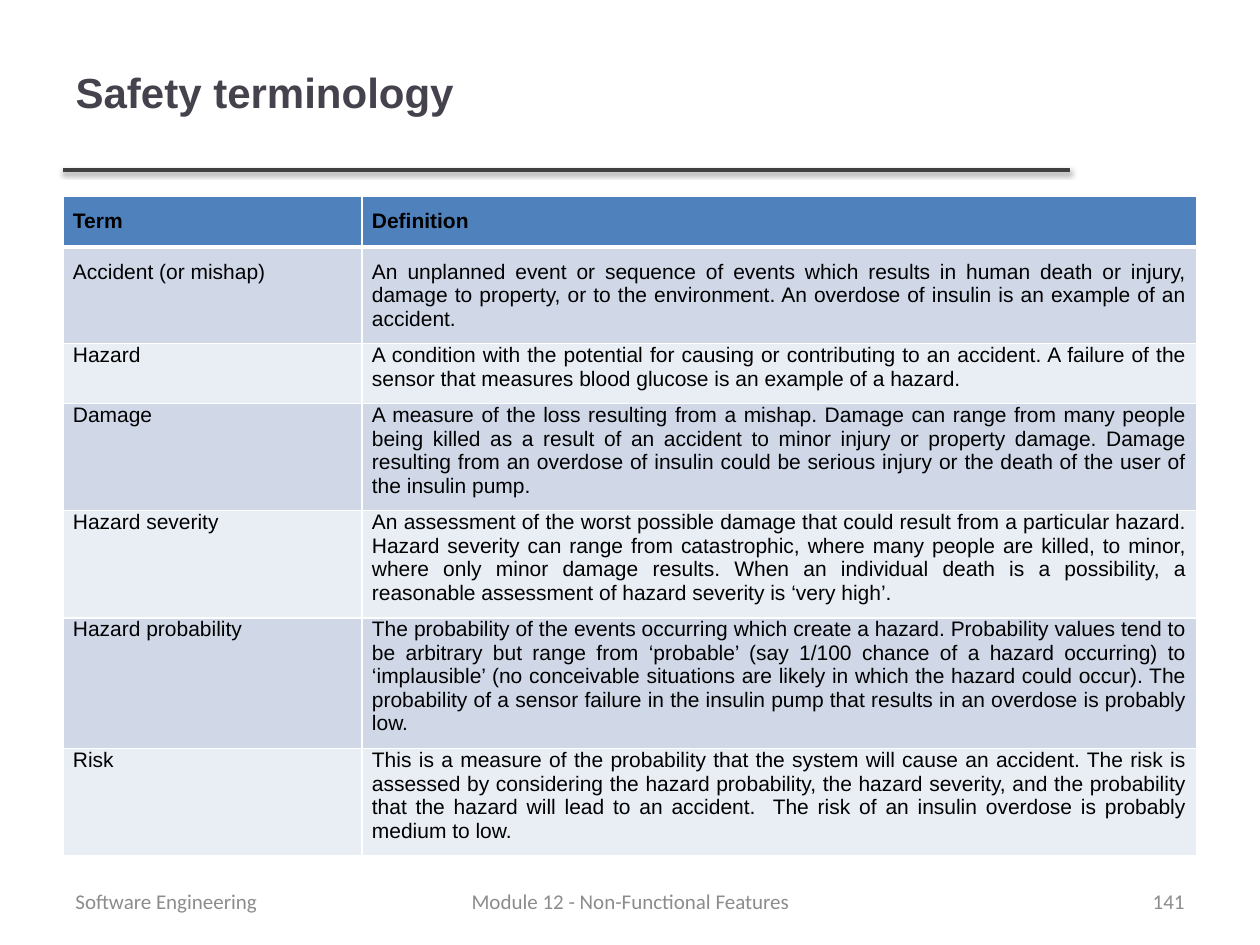
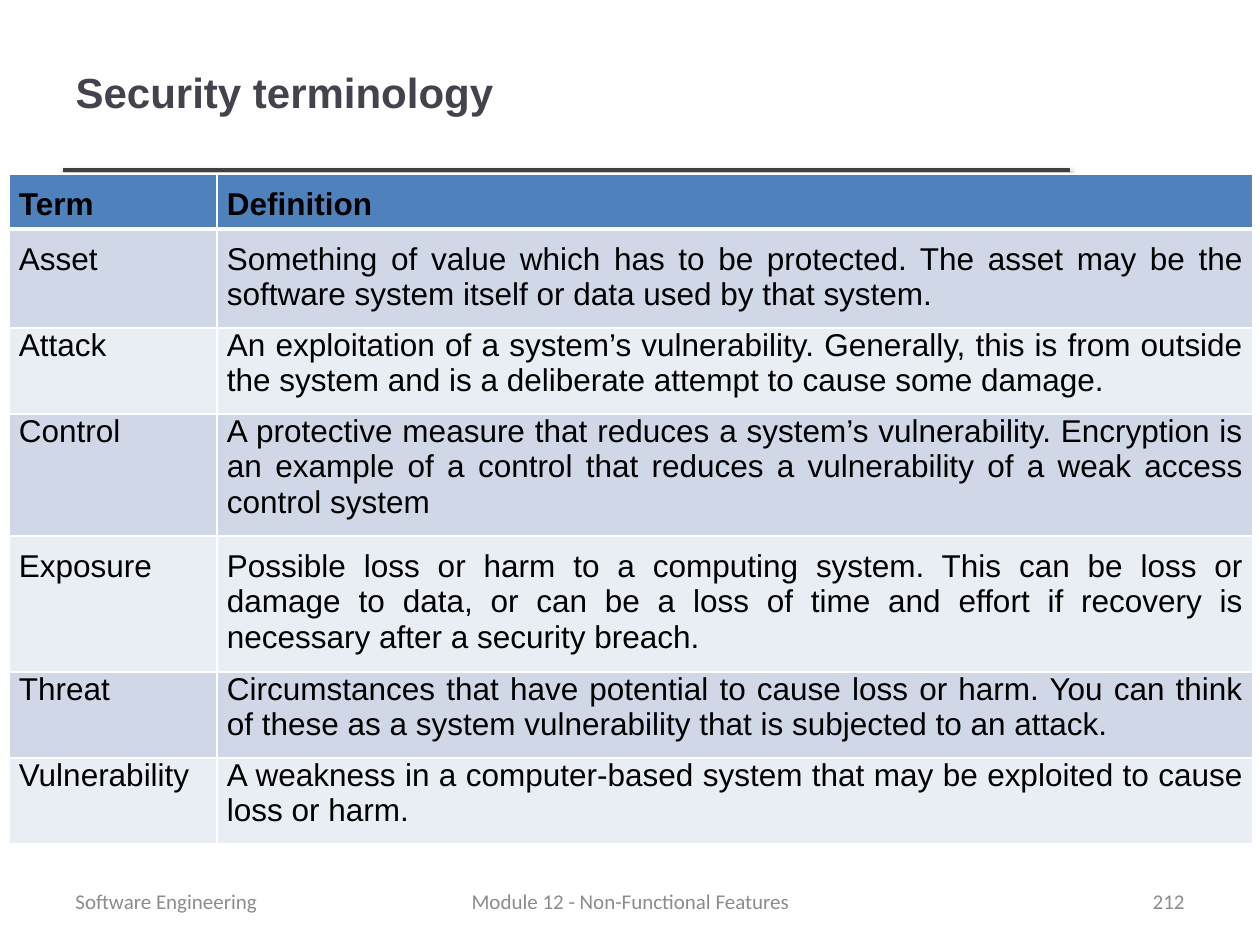
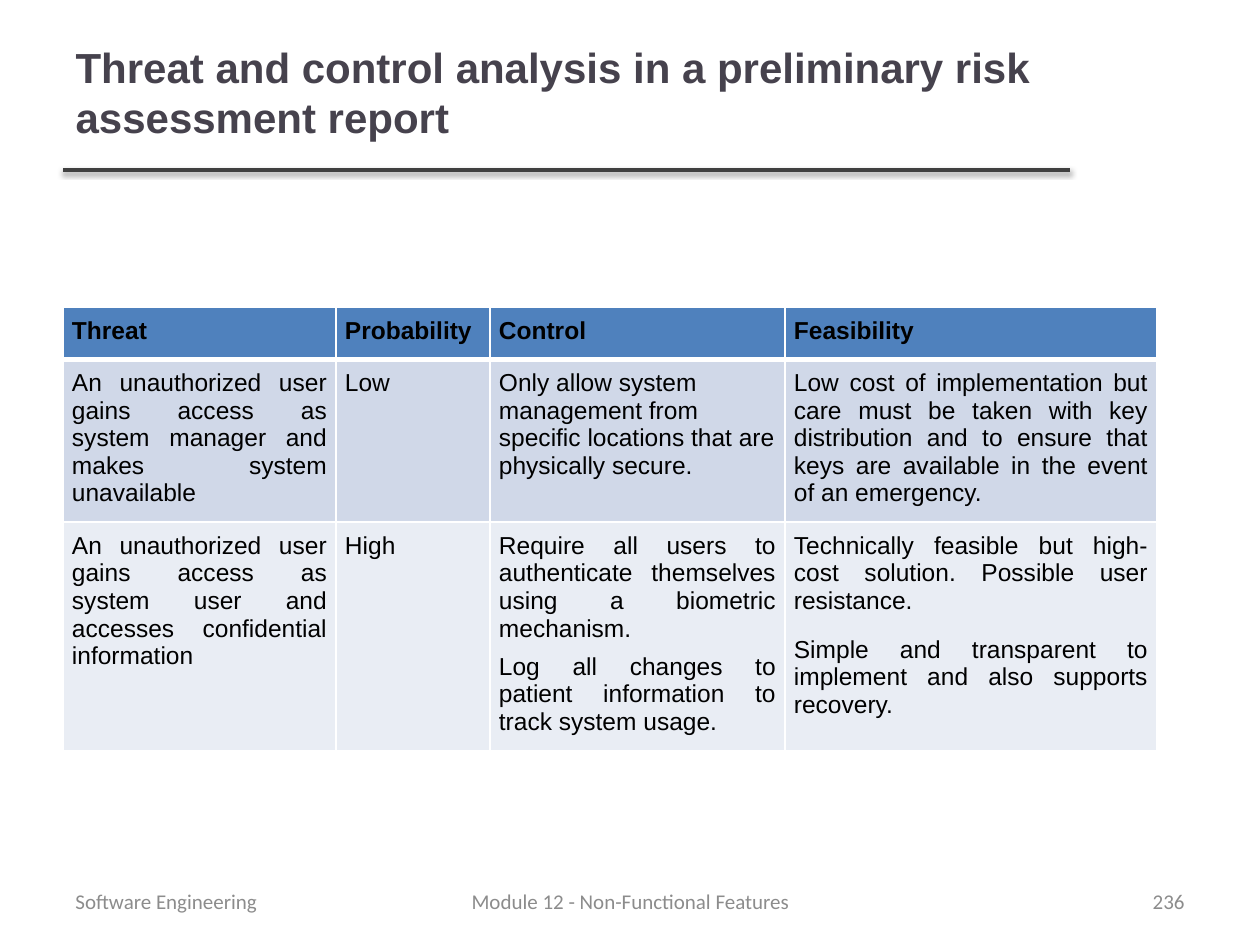
import pptx
import pptx.util
import pptx.dml.color
import pptx.enum.shapes
import pptx.enum.text
import pptx.oxml
import pptx.oxml.ns

SCALE = 914400 / 126
COLORS = {
    "title": "46424D", "rule": "404040", "footer": "8C8C8C", "text": "000000",
    "header": "4F81BD", "odd": "D0D8E8", "even": "E9EDF4", "border": "FFFFFF",
}
ALIGN = pptx.enum.text.PP_ALIGN
MIDDLE = pptx.enum.text.MSO_ANCHOR.MIDDLE
NAMESPACE = pptx.oxml.ns.nsdecls("a")


def px(length):
    return pptx.util.Emu(round(length * SCALE))


def write(para, text, color, align, **font):
    span = para.add_run()
    span.text = text
    para.alignment = align
    for name, value in font.items():
        setattr(span.font, name, value)
    span.font.color.rgb = pptx.dml.color.RGBColor.from_string(COLORS[color])


PAGES = [
    {
        "title": "Safety terminology", "number": "141",
        "left": 63, "top": 196, "size": 12,
        "columns": [299, 835], "heights": [51, 95, 60, 106, 107, 130, 106],
        "side": 10, "above": 13, "below": 13, "header_below": 0,
        "padded_rows": {0, 1}, "left_cells": {(1, 0)},
        "rows": [
            ["Term", "Definition"],
            ["Accident (or mishap)", "An unplanned event or sequence of events which results in human death or injury, damage to property, or to the environment. An overdose of insulin is an example of an accident."],
            ["Hazard", "A condition with the potential for causing or contributing to an accident. A failure of the sensor that measures blood glucose is an example of a hazard."],
            ["Damage", "A measure of the loss resulting from a mishap. Damage can range from many people being killed as a result of an accident to minor injury or property damage. Damage resulting from an overdose of insulin could be serious injury or the death of the user of the insulin pump."],
            ["Hazard severity", "An assessment of the worst possible damage that could result from a particular hazard. Hazard severity can range from catastrophic, where many people are killed, to minor, where only minor damage results. When an individual death is a possibility, a reasonable assessment of hazard severity is ‘very high’."],
            ["Hazard probability", "The probability of the events occurring which create a hazard. Probability values tend to be arbitrary but range from ‘probable’ (say 1/100 chance of a hazard occurring) to ‘implausible’ (no conceivable situations are likely in which the hazard could occur). The probability of a sensor failure in the insulin pump that results in an overdose is probably low."],
            ["Risk", "This is a measure of the probability that the system will cause an accident. The risk is assessed by considering the hazard probability, the hazard severity, and the probability that the hazard will lead to an accident.  The risk of an insulin overdose is probably medium to low."],
        ],
    },
    {
        "title": "Security terminology", "number": "212",
        "left": 9, "top": 174, "size": 18,
        "columns": [208, 1036], "heights": [55, 99, 86, 122, 136, 86, 86],
        "side": 10, "above": 13, "below": 13, "header_below": 0,
        "padded_rows": {0, 1, 4}, "left_cells": set(),
        "rows": [
            ["Term", "Definition"],
            ["Asset", "Something of value which has to be protected. The asset may be the software system itself or data used by that system."],
            ["Attack", "An exploitation of a system’s vulnerability. Generally, this is from outside the system and is a deliberate attempt to cause some damage."],
            ["Control", "A protective measure that reduces a system’s vulnerability. Encryption is an example of a control that reduces a vulnerability of a weak access control system"],
            ["Exposure", "Possible loss or harm to a computing system. This can be loss or damage to data, or can be a loss of time and effort if recovery is necessary after a security breach."],
            ["Threat", "Circumstances that have potential to cause loss or harm. You can think of these as a system vulnerability that is subjected to an attack."],
            ["Vulnerability", "A weakness in a computer-based system that may be exploited to cause loss or harm."],
        ],
    },
    {
        "title": "Threat and control analysis in a preliminary risk assessment report", "number": "236",
        "left": 63, "top": 307, "size": 14,
        "columns": [273, 154, 295, 372], "heights": [51, 162, 228],
        "side": 9, "above": 10, "below": 15, "header_below": 15,
        "padded_rows": {0, 1, 2}, "left_cells": {(1, 2)},
        "gaps": {(2, 2): 6, (2, 3): 12},
        "rows": [
            ["Threat", "Probability", "Control", "Feasibility"],
            [
                "An unauthorized user gains access as system manager and makes system unavailable",
                "Low",
                "Only allow system management from specific locations that are physically secure.",
                "Low cost of implementation but care must be taken with key distribution and to ensure that keys are available in the event of an emergency.",
            ],
            [
                "An unauthorized user gains access as system user and accesses confidential information",
                "High",
                "Require all users to authenticate themselves using a biometric mechanism.\nLog all changes to patient information to track system usage.",
                "Technically feasible but high-cost solution. Possible user resistance.\nSimple and transparent to implement and also supports recovery.",
            ],
        ],
    },
]

FOOTERS = [
    (903, 294, ALIGN.RIGHT, None),
    (431, 399, ALIGN.CENTER, "Module 12 - Non-Functional Features"),
    (63, 294, ALIGN.LEFT, "Software Engineering"),
]

deck = pptx.Presentation()
deck.slide_width, deck.slide_height = px(1260), px(945)
layout = deck.slide_layouts[5]

for index, content in enumerate(PAGES):
    page = deck.slides.add_slide(layout)

    if index == 0:
        rule = page.shapes.add_connector(
            pptx.enum.shapes.MSO_CONNECTOR.STRAIGHT, px(63), px(170), px(1070), px(170))
        rule.line.width = pptx.util.Pt(2)
        rule.line.color.rgb = pptx.dml.color.RGBColor.from_string(COLORS["rule"])
        rule.element.spPr.append(pptx.oxml.parse_xml(
            f'<a:effectLst {NAMESPACE}><a:outerShdw blurRad="39400" dist="20300" dir="5400000" '
            'rotWithShape="0"><a:srgbClr val="000000"><a:alpha val="38000"/></a:srgbClr>'
            '</a:outerShdw></a:effectLst>'))
        layout.shapes.element.append(rule.element)

    title = page.shapes.title
    title.left, title.top, title.width, title.height = px(63), px(13), px(1006), px(157)
    title.text_frame.vertical_anchor = MIDDLE
    write(title.text_frame.paragraphs[0], content["title"], "title", ALIGN.LEFT,
          name="Arial", size=pptx.util.Pt(24), bold=True)

    columns, heights, rows = content["columns"], content["heights"], content["rows"]
    table = page.shapes.add_table(
        len(rows), len(columns), px(content["left"]), px(content["top"]),
        px(sum(columns)), px(sum(heights))).table
    for column, width in zip(table.columns, columns):
        column.width = px(width)

    for row_index, texts in enumerate(rows):
        table.rows[row_index].height = px(heights[row_index])
        is_header = row_index == 0
        fill = "header" if is_header else ("odd" if row_index % 2 else "even")
        for column_index, text in enumerate(texts):
            place = (row_index, column_index)
            cell = table.cell(*place)
            margins = {
                "margin_left": content["side"],
                "margin_right": content["side"],
                "margin_top": content["above"] if row_index in content["padded_rows"] else 0,
                "margin_bottom": content["header_below"] if is_header else content["below"],
            }
            for name, value in margins.items():
                setattr(cell, name, px(value))
            cell.fill.solid()
            cell.fill.fore_color.rgb = pptx.dml.color.RGBColor.from_string(COLORS[fill])
            for position, side in enumerate("LRTB"):
                weight = pptx.util.Pt(3 if is_header and side == "B" else 1)
                cell._tc.tcPr.insert(position, pptx.oxml.parse_xml(
                    f'<a:ln{side} {NAMESPACE} w="{weight}"><a:solidFill>'
                    f'<a:srgbClr val="{COLORS["border"]}"/></a:solidFill></a:ln{side}>'))

            align = ALIGN.LEFT if place in content["left_cells"] else ALIGN.JUSTIFY
            frame = cell.text_frame
            for line_index, line in enumerate(text.split("\n")):
                para = frame.add_paragraph() if line_index else frame.paragraphs[0]
                if line_index:
                    para.space_before = pptx.util.Pt(content["gaps"][place])
                write(para, line, "text", align, name="Arial",
                      size=pptx.util.Pt(content["size"]), bold=is_header)

    for left, width, align, text in FOOTERS:
        box = page.shapes.add_textbox(px(left), px(876), px(width), px(50))
        box.text_frame.word_wrap = True
        box.text_frame.vertical_anchor = MIDDLE
        write(box.text_frame.paragraphs[0], text or content["number"], "footer", align,
              name="Calibri", size=pptx.util.Pt(12))

deck.save("out.pptx")
